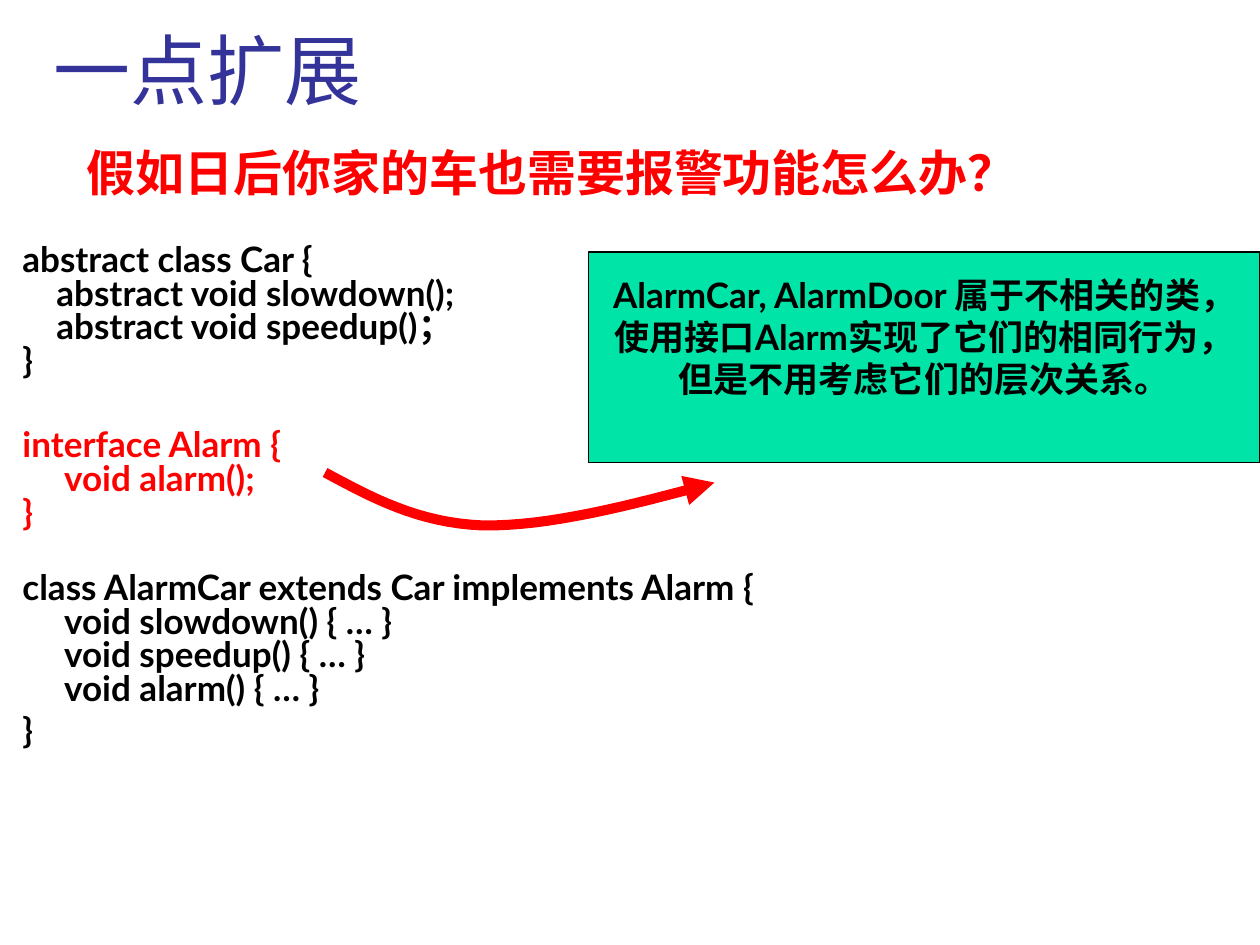
"""Build the slide on extending a car class with an alarm interface."""
from dataclasses import dataclass

from pptx import Presentation
from pptx.dml.color import RGBColor
from pptx.enum.shapes import MSO_SHAPE
from pptx.enum.text import MSO_ANCHOR as Anchor, PP_ALIGN as Align
from pptx.oxml import parse_xml
from pptx.oxml.ns import nsdecls
from pptx.util import Inches, Pt

FONT = "Lato"
BLACK, RED, BLUE, GREEN = "000000", "FF0000", "333399", "00E4A8"


@dataclass
class Block:
    text: str
    size: float = 20
    color: str = BLACK
    bold: bool = True
    before: float = 0
    spacing: float = 1.0
    align: Align = Align.LEFT


CODE_BLOCKS = [
    Block("""abstract class Car {
    abstract void slowdown();
    abstract void speedup()；
}""", spacing=0.8),
    Block("""interface Alarm {
     void alarm();
}""", color=RED, before=29, spacing=0.8),
    Block("""class AlarmCar extends Car implements Alarm {
     void slowdown() { … }
     void speedup() { … }
     void alarm() { … }""", before=24, spacing=0.8),
    Block("}", before=5, spacing=0.8),
]
CALLOUT_LINES = [
    "AlarmCar, AlarmDoor 属于不相关的类，",
    "使用接口Alarm实现了它们的相同行为，",
    "但是不用考虑它们的层次关系。",
]
CURVES = [
    [(2.58, 3.75), (2.95, 3.95), (3.32, 4.15), (3.83, 4.17)],
    [(3.83, 4.17), (4.35, 4.18), (5.01, 4.01), (5.67, 3.83)],
]


def rgb(value: str) -> RGBColor:
    return RGBColor.from_string(value)


def write(shape, blocks: list[Block], anchor=Anchor.TOP, wrap: bool = True) -> None:
    frame = shape.text_frame
    frame.word_wrap = wrap
    frame.vertical_anchor = anchor
    for index, block in enumerate(blocks):
        para = frame.add_paragraph() if index else frame.paragraphs[0]
        para.text = block.text.replace("\n", "\v")
        para.alignment = block.align
        para.line_spacing = block.spacing
        if block.before:
            para.space_before = Pt(block.before)
        font = para.font
        font.name, font.size, font.bold = FONT, Pt(block.size), block.bold
        font.color.rgb = rgb(block.color)


def add_text(page, left: float, top: float, width: float, height: float,
             blocks: list[Block], anchor=Anchor.TOP):
    box = page.shapes.add_textbox(Inches(left), Inches(top), Inches(width), Inches(height))
    write(box, blocks, anchor)
    return box


def add_callout(page) -> None:
    box = page.shapes.add_shape(
        MSO_SHAPE.RECTANGLE, Inches(4.67), Inches(2), Inches(5.33), Inches(1.67))
    box.shadow.inherit = False
    box.fill.solid()
    box.fill.fore_color.rgb = rgb(GREEN)
    box.line.color.rgb = rgb(BLACK)
    box.line.width = Pt(0.75)
    write(box, [Block(line, align=Align.CENTER) for line in CALLOUT_LINES], wrap=False)
    box.text_frame.margin_top = Inches(0.17)


def curve_points(controls: list[tuple], steps: int = 16) -> list[tuple]:
    points = []
    for step in range(1, steps + 1):
        t = step / steps
        weights = ((1 - t) ** 3, 3 * t * (1 - t) ** 2, 3 * t ** 2 * (1 - t), t ** 3)
        points.append(tuple(
            Inches(sum(weight * point[axis] for weight, point in zip(weights, controls)))
            for axis in (0, 1)))
    return points


def add_curved_arrow(page) -> None:
    start_x, start_y = CURVES[0][0]
    builder = page.shapes.build_freeform(Inches(start_x), Inches(start_y))
    for controls in CURVES:
        builder.add_line_segments(curve_points(controls), close=False)
    arrow = builder.convert_to_shape()
    arrow.shadow.inherit = False
    arrow.fill.background()
    arrow.line.color.rgb = rgb(RED)
    arrow.line.width = Pt(5.75)
    line = arrow.line._get_or_add_ln()
    line.append(parse_xml(f'<a:round {nsdecls("a")}/>'))
    line.append(parse_xml(f'<a:tailEnd {nsdecls("a")} type="triangle"/>'))


def main() -> None:
    deck = Presentation()
    deck.slide_width, deck.slide_height = Inches(10), Inches(7.5)
    page = deck.slides.add_slide(deck.slide_layouts[6])
    add_text(page, 0.33, 0.25, 8.5, 0.71,
             [Block("一点扩展", 44, BLUE, bold=False)], Anchor.BOTTOM)
    question = add_text(page, 0.51, 1.08, 8.9, 0.58,
                        [Block("假如日后你家的车也需要报警功能怎么办？", 28, RED)])
    question.text_frame.margin_left = Inches(0.18)
    add_text(page, 0.08, 1.9, 9.67, 4.38, CODE_BLOCKS)
    add_callout(page)
    add_curved_arrow(page)
    deck.save("out.pptx")


if __name__ == "__main__":
    main()
